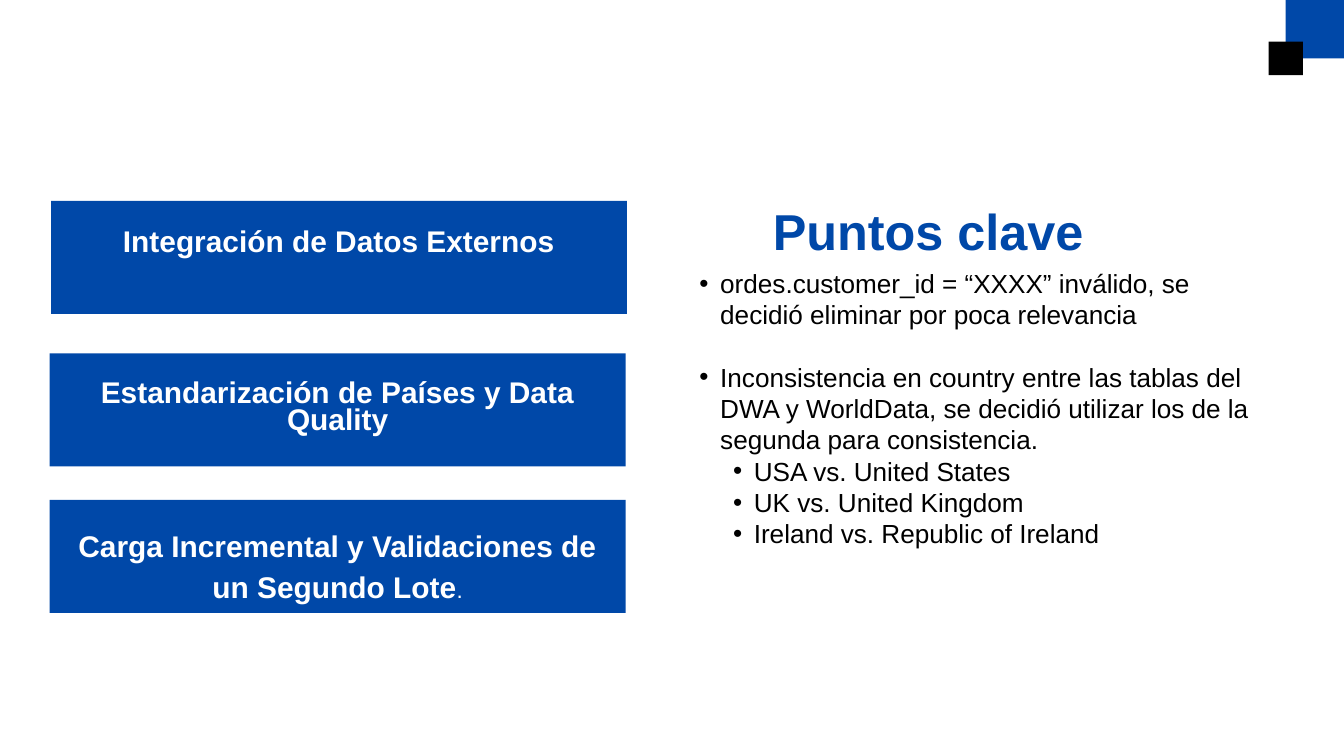
from pptx import Presentation
from pptx.dml.color import RGBColor
from pptx.enum.shapes import MSO_SHAPE
from pptx.enum.text import MSO_ANCHOR, PP_ALIGN
from pptx.oxml.xmlchemy import OxmlElement
from pptx.util import Inches, Pt

BLUE = RGBColor(0x00, 0x48, 0xA8)
BLACK = RGBColor(0x00, 0x00, 0x00)
WHITE = RGBColor(0xFF, 0xFF, 0xFF)


class SlideBuilder:
    """Hold the style and the current slide, with a method per element."""

    font = "Arial"

    def __init__(self, prs):
        self.s = prs.slides.add_slide(prs.slide_layouts[6])

    def frame(self, sp, margins):
        tf = sp.text_frame
        tf.word_wrap = True
        tf.vertical_anchor = MSO_ANCHOR.TOP
        for side, value in zip(("left", "top", "right", "bottom"), margins):
            setattr(tf, f"margin_{side}", Inches(value))
        return tf

    def run(self, p, text, size, color, bold=False):
        r = p.add_run()
        r.text = text
        formats = {"name": self.font, "size": Pt(size), "bold": bold}
        for name, value in formats.items():
            setattr(r.font, name, value)
        r.font.color.rgb = color

    def block(self, x, y, w, h, color):
        sp = self.s.shapes.add_shape(
            MSO_SHAPE.RECTANGLE, Inches(x), Inches(y), Inches(w), Inches(h))
        sp.shadow.inherit = False
        sp.fill.solid()
        sp.fill.fore_color.rgb = color
        sp.line.fill.background()
        return sp

    def topic(self, x, y, top, spacing, runs):
        tf = self.frame(self.block(x, y, 8.57, 1.68, BLUE), (0.35, top, 0.35, 0))
        p = tf.paragraphs[0]
        p.alignment = PP_ALIGN.CENTER
        p.line_spacing = spacing
        for text, size, bold in runs:
            self.run(p, text, size, WHITE, bold)

    def text_box(self, x, y, w, h, margins):
        sp = self.s.shapes.add_textbox(Inches(x), Inches(y), Inches(w), Inches(h))
        return self.frame(sp, margins)

    def title(self, x, y, w, h, text):
        p = self.text_box(x, y, w, h, (0, 0, 0, 0)).paragraphs[0]
        p.line_spacing = Pt(86.4)
        self.run(p, text, 54, BLUE, True)

    def bullets(self, x, y, w, h, items):
        tf = self.text_box(x, y, w, h, (0.1, 0.05, 0.1, 0.05))
        for i, (level, gap, text) in enumerate(items):
            p = tf.add_paragraph() if i else tf.paragraphs[0]
            p.level = level
            pPr = p._p.get_or_add_pPr()
            pPr.set("marL", str(Inches(0.31 + 0.5 * level)))
            pPr.set("indent", str(Inches(-0.31)))
            for tag, key, value in (("a:buFont", "typeface", self.font),
                                    ("a:buChar", "char", "•")):
                bullet = OxmlElement(tag)
                bullet.set(key, value)
                pPr.append(bullet)
            if gap:
                p.space_before = Pt(gap)
            self.run(p, text, 28, BLACK)


def main():
    prs = Presentation()
    prs.slide_width, prs.slide_height = Inches(20), Inches(11.25)
    slide = SlideBuilder(prs)

    slide.block(19.13, 0, 0.87, 0.87, BLUE)
    slide.block(18.88, 0.62, 0.51, 0.5, BLACK)

    slide.topic(0.76, 2.99, 0.45, Pt(28.8),
                [("Integración de Datos Externos", 32, True)])
    slide.topic(0.74, 5.26, 0.43, Pt(28.8),
                [("Estandarización de Países y Data Quality", 32, True)])
    slide.topic(0.74, 7.44, 0.33, 1.15,
                [("Carga Incremental y Validaciones de un Segundo Lote", 32, True),
                 (".", 24, False)])

    slide.bullets(10.31, 3.93, 8.57, 4.34, [
        (0, 0, "ordes.customer_id = “XXXX” inválido, se decidió eliminar "
               "por poca relevancia"),
        (0, 33, "Inconsistencia en country entre las tablas del DWA y WorldData, "
                "se decidió utilizar los de la segunda para consistencia."),
        (1, 0, "USA vs. United States"),
        (1, 0, "UK vs. United Kingdom"),
        (1, 0, "Ireland vs. Republic of Ireland"),
    ])
    slide.title(11.5, 2.68, 6.33, 1.16, "Puntos clave")

    prs.save("out.pptx")


if __name__ == "__main__":
    main()
